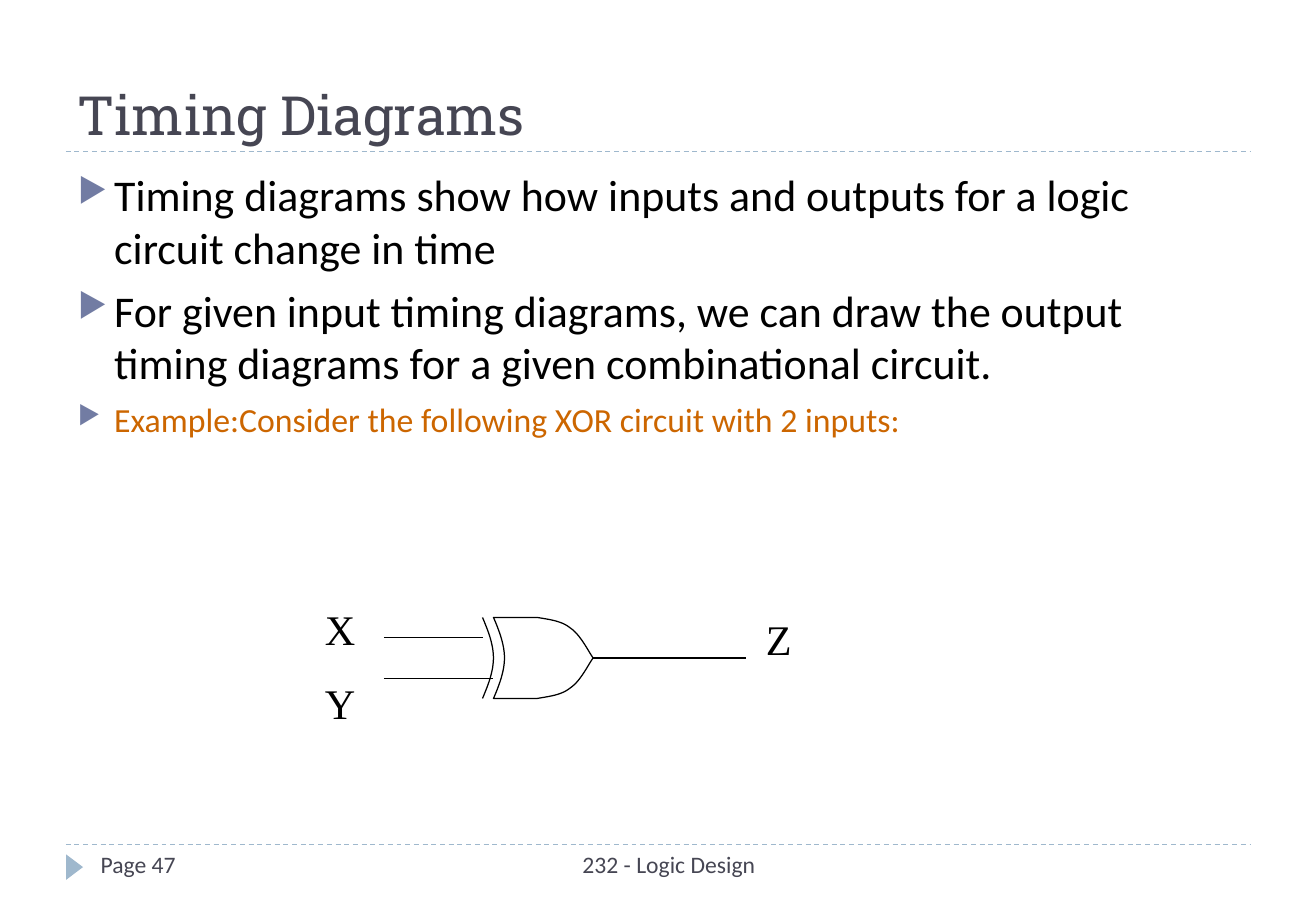
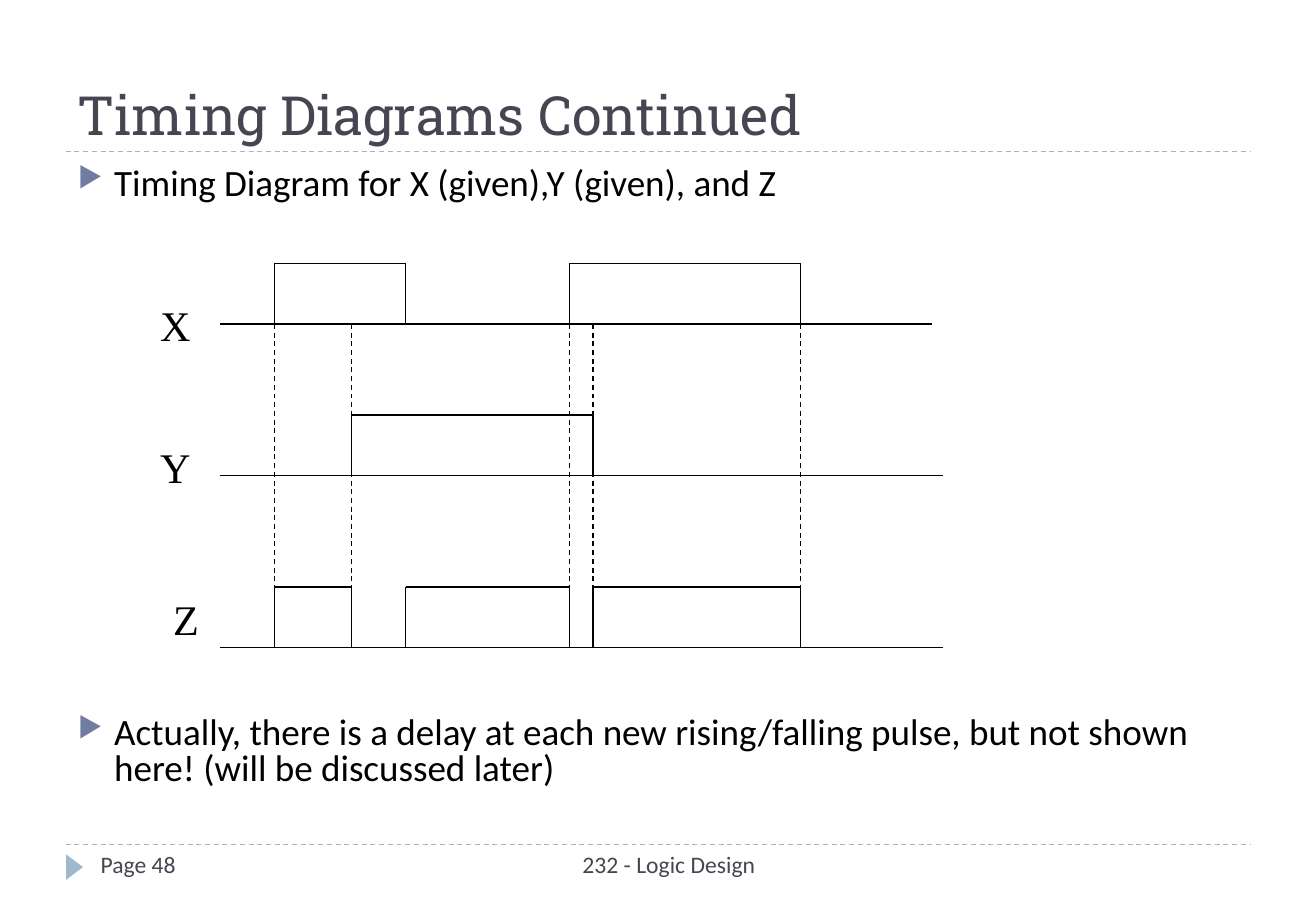
import pptx
import pptx.dml.color
import pptx.enum.dml
import pptx.enum.shapes
import pptx.enum.text
import pptx.oxml.ns
import pptx.util
from lxml import etree

Pt = pptx.util.Pt
ALIGN = pptx.enum.text.PP_ALIGN
ANCHOR = pptx.enum.text.MSO_ANCHOR

SLATE, SKY, BULLET = "464653", "9FB8CD", "727CA3"
BLACK, WHITE, ORANGE = "000000", "FFFFFF", "CC6600"
BODY_FONT, TITLE_FONT, LABEL_FONT = "Calibri", "Roboto Slab", "Times New Roman"
LEFT, RIGHT = 39, 741
BODY = (LEFT, 96, RIGHT - LEFT, 386)


def rgb(color):
    return pptx.dml.color.RGBColor.from_string(color)


def add_sub(parent, tag, **attrs):
    return etree.SubElement(parent, pptx.oxml.ns.qn(tag), attrs)


def text(slide, box, lines, size, color, font, align=ALIGN.LEFT, anchor=ANCHOR.TOP):
    sp = slide.shapes.add_textbox(*map(Pt, box))
    tf = sp.text_frame
    tf.word_wrap = True
    tf.vertical_anchor = anchor
    tf.text = "\n".join(lines)
    for p in tf.paragraphs:
        p.alignment = align
        f = p.runs[0].font
        f.size, f.name = Pt(size), font
        f.color.rgb = rgb(color)
    return tf.paragraphs


def line(slide, x1, y1, x2, y2, color=BLACK, dashed=False):
    c = slide.shapes.add_connector(
        pptx.enum.shapes.MSO_CONNECTOR.STRAIGHT, *map(Pt, (x1, y1, x2, y2)))
    c.line.color.rgb = rgb(color)
    c.line.width = Pt(0.75)
    if dashed:
        c.line.dash_style = pptx.enum.dml.MSO_LINE.DASH
    add_sub(c._element.spPr, "a:effectLst")


def frame(slide, title, page):
    for y in (500.4, 90):
        line(slide, LEFT, y, RIGHT, y, SKY, True)
    sp = slide.shapes.add_shape(
        pptx.enum.shapes.MSO_SHAPE.ISOSCELES_TRIANGLE, *map(Pt, (36.7, 509, 15, 10)))
    sp.rotation = 90
    sp.shadow.inherit = False
    sp.fill.solid()
    sp.fill.fore_color.rgb = rgb(SKY)
    sp.line.fill.background()
    text(slide, (247, 500.4, 299, 29), ["232 - Logic Design"], 14, SLATE, BODY_FONT, ALIGN.CENTER)
    text(slide, (52.6, 500.4, 169, 29), [f"Page {page}"], 14, SLATE, BODY_FONT)
    text(slide, (LEFT, 12, RIGHT - LEFT, 78), [title], 32, SLATE, TITLE_FONT, anchor=ANCHOR.BOTTOM)


def bullets(slide, box, lines, size):
    paragraphs = text(slide, box, lines, size, BLACK, BODY_FONT)
    for p in paragraphs:
        p.space_before = Pt(6)
        pPr = p._p.get_or_add_pPr()
        pPr.set("marL", str(Pt(21.6)))
        pPr.set("indent", str(-Pt(21.6)))
        add_sub(add_sub(pPr, "a:buClr"), "a:srgbClr", val=BULLET)
        add_sub(pPr, "a:buSzPct", val="76000")
        add_sub(pPr, "a:buChar", char="▶")
    return paragraphs


def label(slide, center, top, lines, height=38):
    box = (center - 32.5, top, 65, height)
    for p in text(slide, box, lines, 25, BLACK, LABEL_FONT, ALIGN.CENTER):
        p.space_before = Pt(14)


def bezier(a, b, c, d, steps=12):
    ts = [i / steps for i in range(steps + 1)]
    return [tuple((1 - t) ** 3 * a[k] + 3 * (1 - t) ** 2 * t * b[k]
                  + 3 * (1 - t) * t ** 2 * c[k] + t ** 3 * d[k] for k in (0, 1))
            for t in ts]


def outline(slide, x, y, points, closed):
    pts = [(Pt(x + px), Pt(y + py)) for px, py in points]
    fb = slide.shapes.build_freeform(*pts[0], scale=1.0)
    fb.add_line_segments(pts[1:], close=closed)
    sp = fb.convert_to_shape()
    sp.shadow.inherit = False
    sp.line.color.rgb = rgb(BLACK)
    sp.line.width = Pt(0.75)
    if closed:
        sp.fill.solid()
        sp.fill.fore_color.rgb = rgb(WHITE)
    else:
        sp.fill.background()


def xor_gate(slide, x, y):
    height, gap = 48, 6.5

    def mirrored(points):
        return points + [(px, height - py) for px, py in reversed(points[:-1])]

    back = mirrored(bezier((0, 0), (3.6, 8.3), (gap, 16.3), (gap, 24)))
    shoulder = bezier((32.5, 0), (39.6, 1.2), (46.8, 2), (52, 6.2))
    nose = mirrored(shoulder + bezier((52, 6.2), (57.6, 10), (61.2, 17.3), (65.5, 24)))
    outline(slide, x, y, back, False)
    outline(slide, x, y, nose + [(px + gap, py) for px, py in reversed(back)], True)
    line(slide, x + 65.5, y + 24, x + 156, y + 24)
    line(slide, x - 58.5, y + 12, x, y + 12)
    line(slide, x - 58.5, y + 36, x + gap, y + 36)
    label(slide, x - 84.4, y - 12, ["X", "Y"], 84)
    label(slide, x + 175.5, y - 6, ["Z"])


def timing_diagram(slide, x, y):
    pulse = 36
    x_edges = [32.5, 110.25, 207.5, 344.25]
    y_edges = [78, 221.25]
    z_edges = sorted(x_edges + y_edges)
    signals = [
        ("X", x_edges, 36, 422, -26.3, 18),
        ("Y", y_edges, 126, 428.5, -26.3, 102),
        ("Z", z_edges, 228, 428.5, -20, 192),
    ]
    for name, edges, base, width, center, top in signals:
        low, high = y + base, y + base - pulse
        line(slide, x, low, x + width, low)
        for rise, fall in zip(edges[::2], edges[1::2]):
            line(slide, x + rise, high, x + fall, high)
        for edge in edges:
            line(slide, x + edge, high, x + edge, low)
        label(slide, x + center, y + top, [name])
    for edge in z_edges:
        if edge != x_edges[1]:
            line(slide, x + edge, y + 36, x + edge, y + 198, dashed=True)


def circuit_slide(slide):
    frame(slide, "Timing Diagrams", 47)
    example = bullets(slide, BODY, [
        "Timing diagrams show how inputs and outputs for a logic circuit change in time",
        "For given input timing diagrams, we can draw the output timing diagrams "
        "for a given combinational circuit.",
        "Example:Consider the following XOR circuit with 2 inputs:",
    ], 26)[-1]
    f = example.runs[0].font
    f.size = Pt(20)
    f.color.rgb = rgb(ORANGE)
    xor_gate(slide, 286, 366)


def waveform_slide(slide):
    frame(slide, "Timing Diagrams Continued", 48)
    paragraphs = bullets(slide, BODY, [
        "Timing Diagram for X (given),Y (given), and Z",
        "Actually, there is a delay at each new rising/falling pulse, but not shown here! "
        "(will be discussed later)",
    ], 22)
    for p in paragraphs:
        p.line_spacing = 0.8
    paragraphs[-1].space_before = Pt(304.5)
    timing_diagram(slide, 130.25, 156)


def main():
    prs = pptx.Presentation()
    prs.slide_width, prs.slide_height = Pt(780), Pt(540)
    for build in (circuit_slide, waveform_slide):
        build(prs.slides.add_slide(prs.slide_layouts[6]))
    prs.save("out.pptx")


if __name__ == "__main__":
    main()
